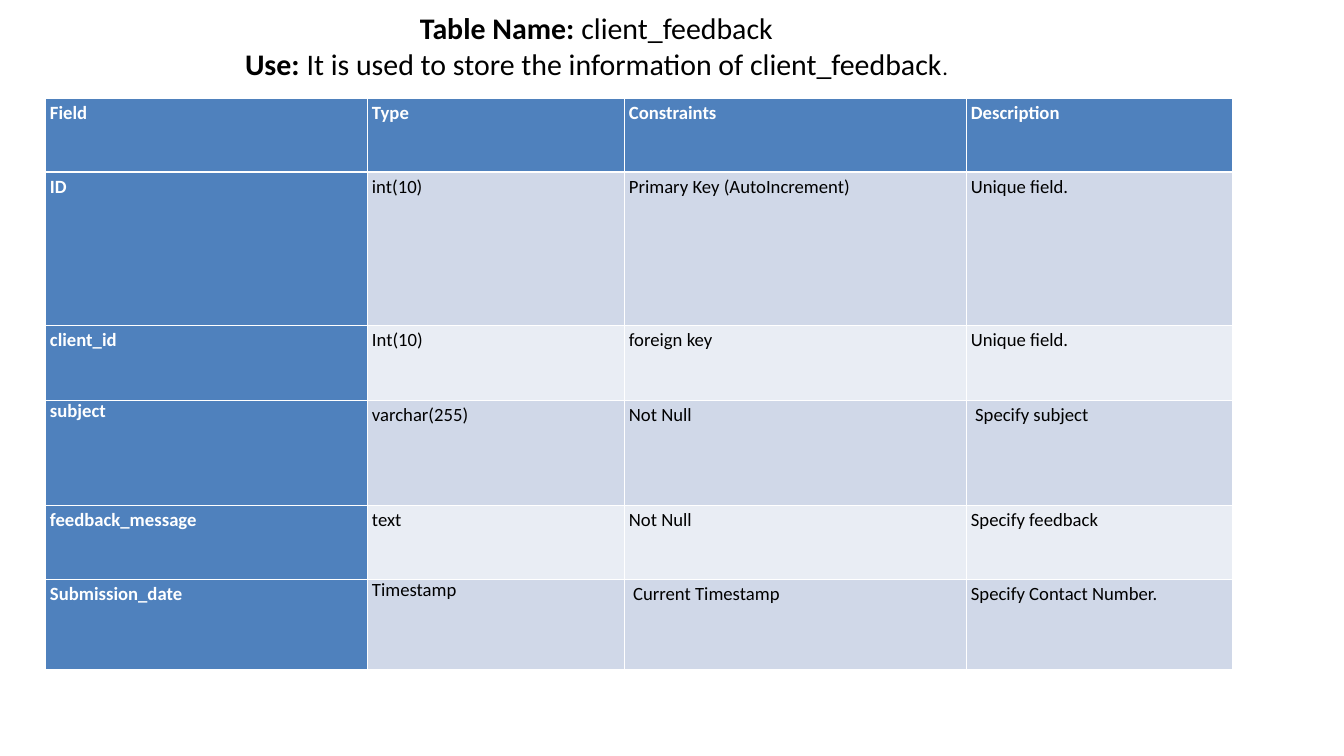
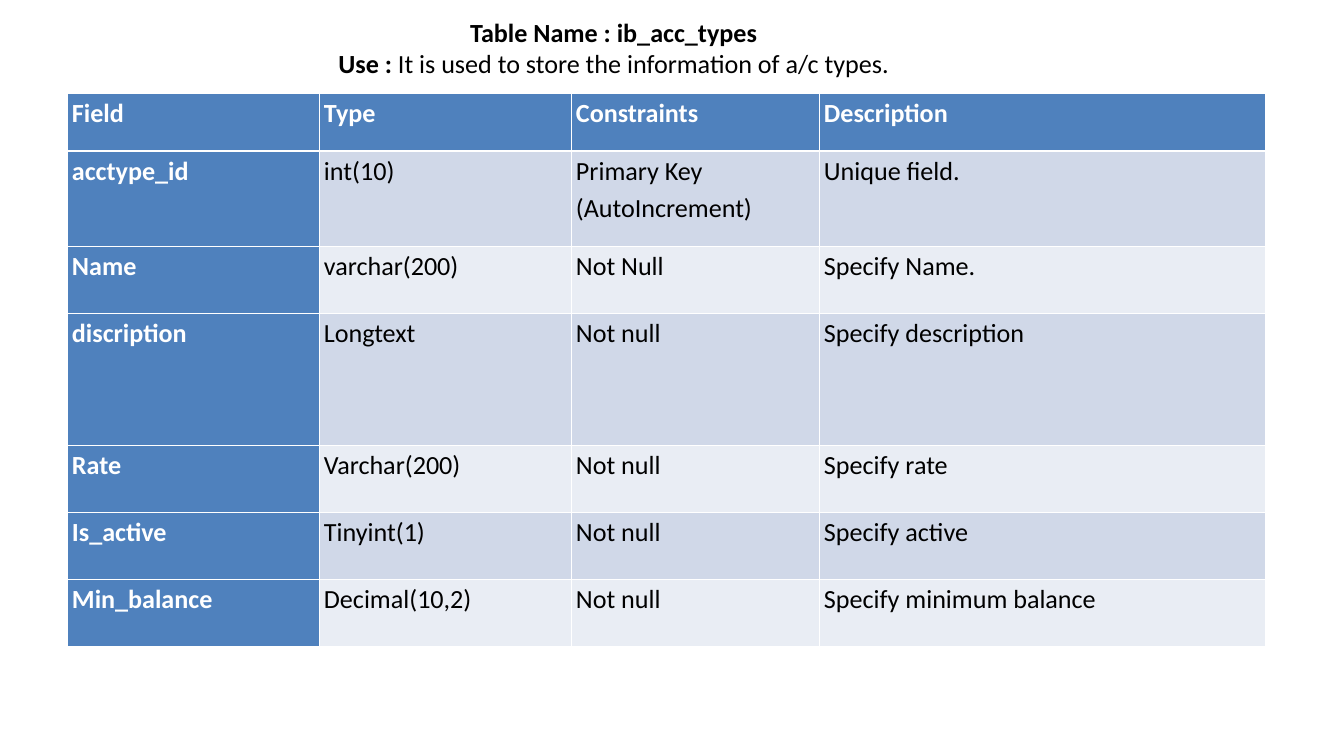
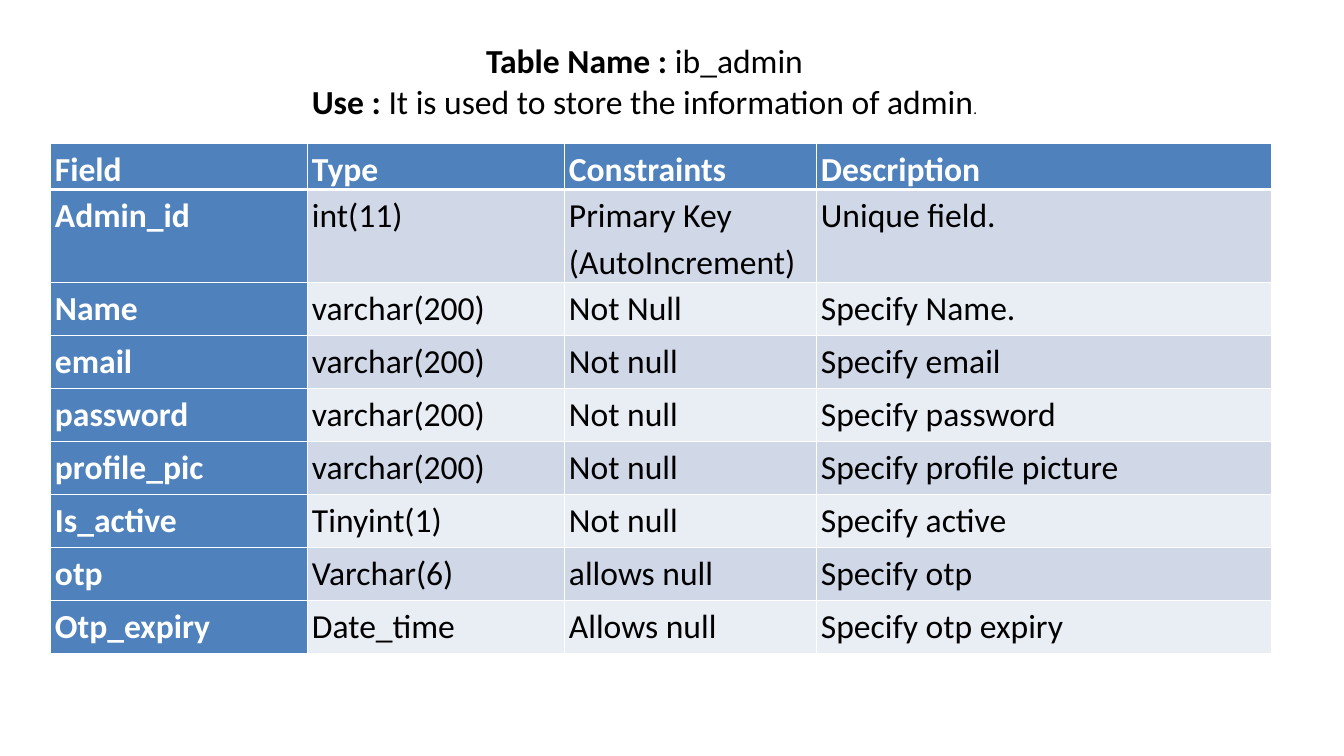
from pptx import Presentation
from pptx import util as u
from pptx.dml.color import RGBColor
from pptx.enum import text
from pptx.oxml import parse_xml
from pptx.oxml.ns import nsdecls

PX = 914400 / 67.2
FONT = "Calibri"
COLORS = {
    "header": "4F81BD",
    "band_dark": "D0D8E8",
    "band_light": "E9EDF4",
    "white": "FFFFFF",
    "black": "000000",
}
HEADER = ("Field", "Type", "Constraints", "Description")
SINGLE_SPACED = {"subject", "Timestamp"}

# Heading spans are (text, bold) or (text, bold, size)
TABLES = [
    {
        "heading": [
            [("Table Name: ", True), ("client_feedback", False)],
            [("Use: ", True),
             ("It is used to store the information of client_feedback", False),
             (".", False, 24)],
        ],
        "heading_box": (45, 6, 1103, 99),
        "heading_size": 32,
        "origin": (45, 98),
        "columns": (322, 257, 342, 266),
        "heights": (74, 153, 75, 105, 74, 90),
        "size": 20,
        "rows": [
            ("ID", "int(10)", "Primary Key (AutoIncrement)", "Unique field."),
            ("client_id", "Int(10)", "foreign key", "Unique field."),
            ("subject", "varchar(255)", "Not Null", " Specify subject"),
            ("feedback_message", "text", "Not Null", "Specify feedback"),
            ("Submission_date", "Timestamp", " Current Timestamp",
             "Specify Contact Number."),
        ],
    },
    {
        "heading": [
            [("Table Name : ib_acc_types", True)],
            [("Use : ", True),
             ("It is used to store the information of a/c types.", False)],
        ],
        "heading_box": (-50, 13, 1327, 91),
        "heading_size": 28,
        "origin": (67, 93),
        "columns": (252, 252, 248, 446),
        "heights": (58, 95, 67, 132, 67, 67, 67),
        "size": 28,
        "rows": [
            ("acctype_id", "int(10)", "Primary Key (AutoIncrement)", "Unique field."),
            ("Name", "varchar(200)", "Not Null", "Specify Name."),
            ("discription", "Longtext", "Not null", "Specify description"),
            ("Rate", "Varchar(200)", "Not null", "Specify rate"),
            ("Is_active", "Tinyint(1)", "Not null", "Specify active"),
            ("Min_balance", "Decimal(10,2)", "Not null", "Specify minimum balance"),
        ],
    },
    {
        "heading": [
            [("Table Name : ", True), ("ib_admin", False)],
            [("Use : ", True),
             ("It is used to store the information of admin", False),
             (".", False, 16)],
        ],
        "heading_box": (34, 37, 1221, 88),
        "heading_size": 36,
        "origin": (50, 143),
        "columns": (257, 257, 252, 455),
        "heights": (46, 75) + (53,) * 7,
        "size": 36,
        "rows": [
            ("Admin_id", "int(11)", "Primary Key (AutoIncrement)", "Unique field."),
            ("Name", "varchar(200)", "Not Null", "Specify Name."),
            ("email", "varchar(200)", "Not null", "Specify email"),
            ("password", "varchar(200)", "Not null", "Specify password"),
            ("profile_pic", "varchar(200)", "Not null", "Specify profile picture"),
            ("Is_active", "Tinyint(1)", "Not null", "Specify active"),
            ("otp", "Varchar(6)", "allows null", "Specify otp"),
            ("Otp_expiry", "Date_time", "Allows null", "Specify otp expiry"),
        ],
    },
]


def px(value):
    return u.Emu(round(value * PX))


def rgb(name):
    return RGBColor.from_string(COLORS[name])


def add_span(para, words, size, bold, color):
    span = para.add_run()
    span.text = words
    values = {"name": FONT, "size": u.Pt(size), "bold": bold}
    for key, value in values.items():
        setattr(span.font, key, value)
    span.font.color.rgb = rgb(color)


def add_heading(page, content):
    box = page.shapes.add_textbox(*map(px, content["heading_box"]))
    frame = box.text_frame
    frame.word_wrap = True
    frame.vertical_anchor = text.MSO_ANCHOR.TOP
    for index, line in enumerate(content["heading"]):
        para = frame.add_paragraph() if index else frame.paragraphs[0]
        para.alignment = text.PP_ALIGN.CENTER
        for words, bold, *size in line:
            add_span(para, words, size[0] if size else content["heading_size"],
                     bold, "black")


def add_borders(cell, row):
    # A thick rule separates the header from the body
    points = {"L": 1, "R": 1, "T": 3 if row == 1 else 1, "B": 3 if row == 0 else 1}
    properties = cell._tc.get_or_add_tcPr()
    for side, width in points.items():
        properties.append(parse_xml(
            f'<a:ln{side} {nsdecls("a")} w="{u.Pt(width)}"><a:solidFill>'
            f'<a:srgbClr val="{COLORS["white"]}"/></a:solidFill></a:ln{side}>'))


def fill_cell(cell, words, row, column, size):
    is_header = row == 0 or column == 0
    margins = {"margin_left": 5, "margin_right": 5, "margin_top": 0, "margin_bottom": 0}
    for key, value in margins.items():
        setattr(cell, key, px(value))
    add_borders(cell, row)
    band = "band_dark" if row % 2 else "band_light"
    cell.fill.solid()
    cell.fill.fore_color.rgb = rgb("header" if is_header else band)
    para = cell.text_frame.paragraphs[0]
    para.line_spacing = 1.0 if words in SINGLE_SPACED else 1.15
    add_span(para, words, size, is_header, "white" if is_header else "black")


def add_field_table(page, content):
    rows = [HEADER] + content["rows"]
    columns, heights = content["columns"], content["heights"]
    area = (*content["origin"], sum(columns), sum(heights))
    table = page.shapes.add_table(len(rows), len(columns), *map(px, area)).table
    table.first_row = table.horz_banding = False
    for column, width in zip(table.columns, columns):
        column.width = px(width)
    for row, height in zip(table.rows, heights):
        row.height = px(height)
    for r, values in enumerate(rows):
        for c, words in enumerate(values):
            fill_cell(table.cell(r, c), words, r, c, content["size"])


def main():
    deck = Presentation()
    deck.slide_width, deck.slide_height = px(1344), px(756)
    for content in TABLES:
        page = deck.slides.add_slide(deck.slide_layouts[6])
        add_field_table(page, content)
        add_heading(page, content)
    deck.save("out.pptx")


if __name__ == "__main__":
    main()
